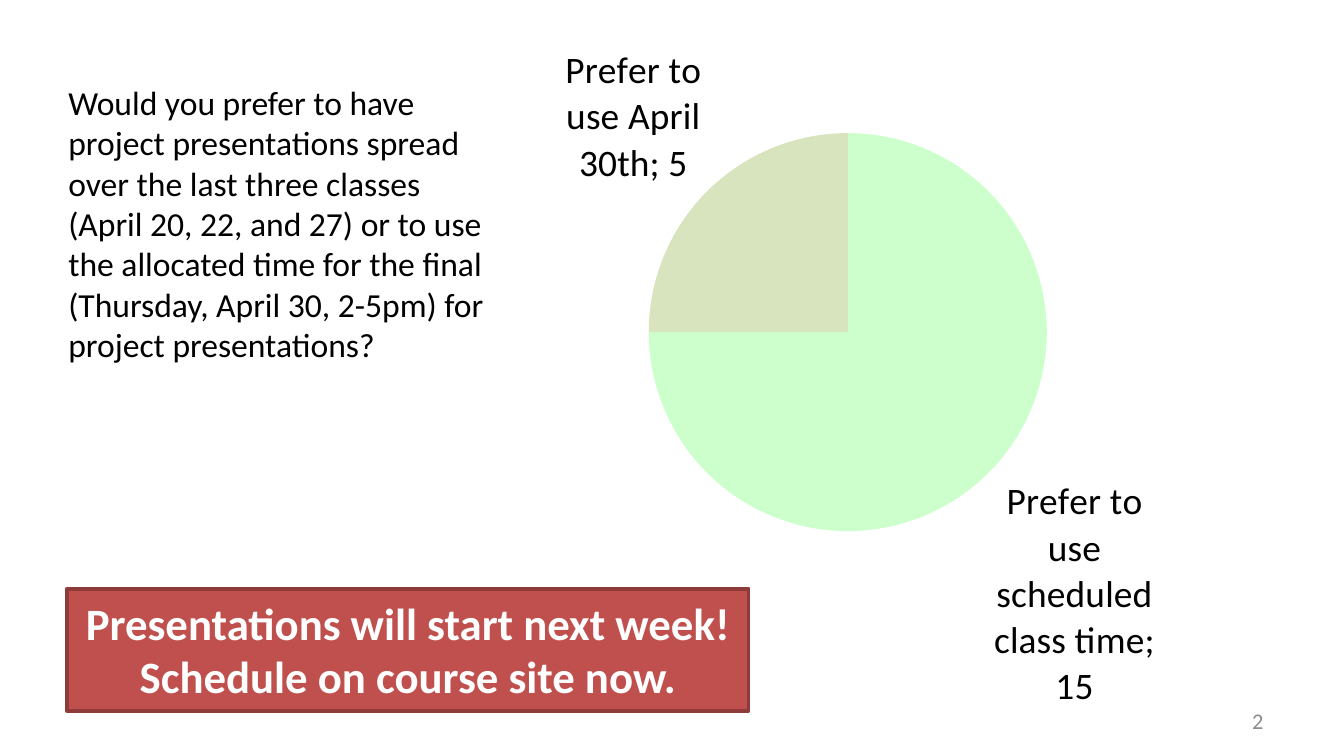
from dataclasses import dataclass

from lxml import etree
from pptx import Presentation
from pptx.chart.data import CategoryChartData
from pptx.dml.color import RGBColor
from pptx.enum.chart import XL_CHART_TYPE, XL_LABEL_POSITION
from pptx.enum.shapes import MSO_SHAPE
from pptx.enum.text import MSO_ANCHOR, MSO_AUTO_SIZE, PP_ALIGN
from pptx.oxml.ns import qn
from pptx.util import Inches, Pt

PIE = XL_CHART_TYPE.PIE
OUTSIDE = XL_LABEL_POSITION.OUTSIDE_END
RECT = MSO_SHAPE.RECTANGLE
TOP, MIDDLE = MSO_ANCHOR.TOP, MSO_ANCHOR.MIDDLE
GROW = MSO_AUTO_SIZE.SHAPE_TO_FIT_TEXT
LEFT, CENTER, RIGHT = PP_ALIGN.LEFT, PP_ALIGN.CENTER, PP_ALIGN.RIGHT


@dataclass(frozen=True)
class Theme:
    font: str = "Calibri"
    ink: str = "000000"
    gray: str = "8C8C8C"
    white: str = "FFFFFF"
    red: str = "C0504D"
    edge: str = "8E3B39"
    slices: tuple = ("CCFFCC", "D7E4BD")
    small: int = 12
    body: int = 18
    label: int = 20
    banner: int = 24


def put(item, **values):
    for name, value in values.items():
        setattr(item, name, value)


def place(*box):
    return [Inches(n) for n in box]


class Deck:
    def __init__(self, theme):
        self.theme = theme
        self.prs = Presentation()
        wide = Inches(10)
        put(self.prs, slide_width=wide, slide_height=wide * 9 // 16)
        self.slide = self.prs.slides.add_slide(self.prs.slide_layouts[6])

    def style(self, font, size, color, bold=False):
        put(font, name=self.theme.font, size=Pt(size), bold=bold)
        font.color.rgb = RGBColor.from_string(color)

    def fill(self, frame, lines, size, color, align=LEFT, bold=False, **form):
        put(frame, **form)
        frame.text = "\n".join(lines)
        for para in frame.paragraphs:
            para.alignment = align
            self.style(para.runs[0].font, size, color, bold)

    def text(self, box, words, size, color, **form):
        shape = self.slide.shapes.add_textbox(*place(*box))
        self.fill(shape.text_frame, [words], size, color, word_wrap=True, **form)

    def banner(self, box, lines):
        look = self.theme
        shape = self.slide.shapes.add_shape(RECT, *place(*box))
        shape.shadow.inherit = False
        shape.fill.solid()
        shape.fill.fore_color.rgb = RGBColor.from_string(look.red)
        shape.line.color.rgb = RGBColor.from_string(look.edge)
        shape.line.width = Pt(2)
        self.fill(shape.text_frame, lines, look.banner, look.white, CENTER, True,
                  word_wrap=False, auto_size=GROW, vertical_anchor=TOP)

    def pie(self, box, votes):
        look = self.theme
        data = CategoryChartData()
        data.categories = list(votes)
        data.add_series("Series 1", list(votes.values()))
        chart = self.slide.shapes.add_chart(PIE, *place(*box), data).chart
        put(chart, has_legend=False, has_title=False)
        self.style(chart.font, look.label, look.ink)

        # Slices
        plot = chart.plots[0]
        put(plot, vary_by_categories=True, has_data_labels=True)
        for i, color in enumerate(look.slices):
            paint = plot.series[0].points[i].format.fill
            paint.solid()
            paint.fore_color.rgb = RGBColor.from_string(color)

        # Slice labels
        labels = plot.data_labels
        put(labels, show_value=True, show_category_name=True,
            show_percentage=False, position=OUTSIDE)
        self.style(labels.font, look.label, look.ink)
        mark = etree.Element(qn("c:separator"))
        mark.text = "; "
        labels._element.find(qn("c:showBubbleSize")).addnext(mark)


def main():
    look = Theme()
    deck = Deck(look)

    # Slide number
    deck.text((7.17, 5.21, 2.33, 0.3), "2", look.small, look.gray,
              align=RIGHT, vertical_anchor=MIDDLE)

    # Poll question
    deck.text((0.41, 0.56, 3.42, 2.22),
              "Would you prefer to have project presentations spread over the "
              "last three classes (April 20, 22, and 27) or to use the allocated "
              "time for the final (Thursday, April 30, 2-5pm) for project "
              "presentations?", look.body, look.ink, auto_size=GROW)

    # Poll result
    deck.pie((2.62, 0.12, 7.38, 5.39),
             {"Prefer to use scheduled class time": 15,
              "Prefer to use April 30th": 5})

    # Announcement
    deck.banner((0.5, 4.38, 5.07, 0.91),
                ["Presentations will start next week!",
                 "Schedule on course site now."])

    deck.prs.save("out.pptx")


if __name__ == "__main__":
    main()
